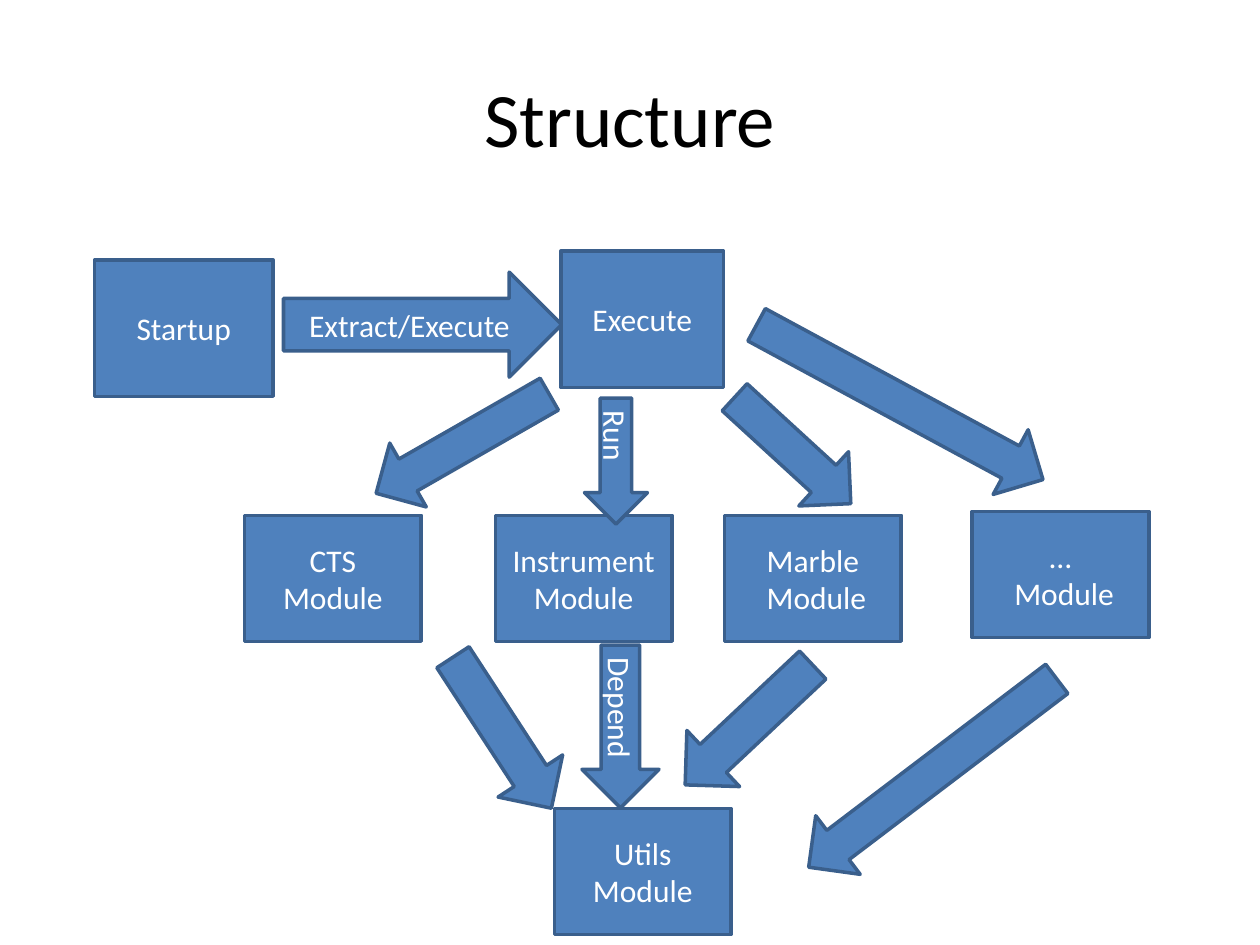
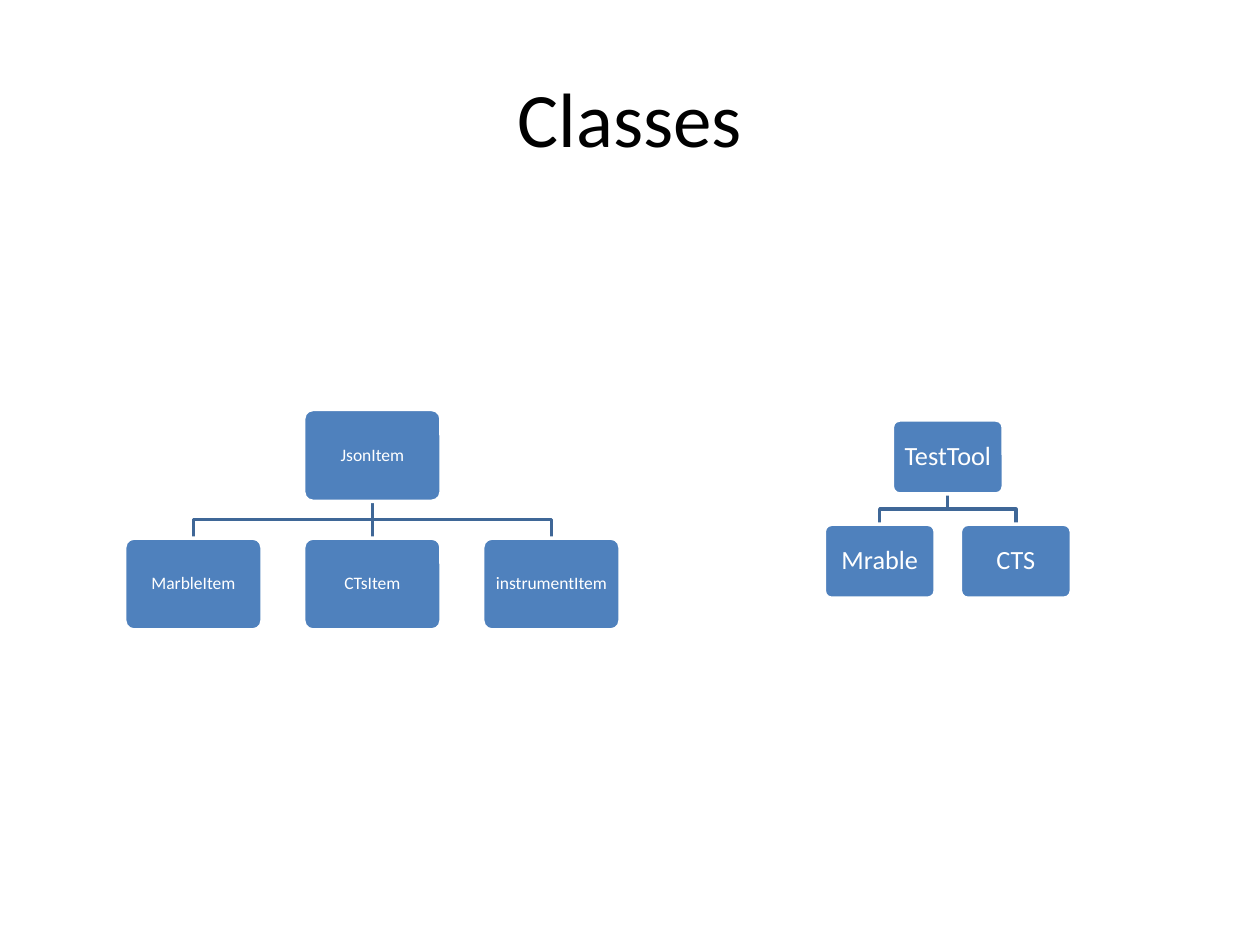
import pptx
import pptx.dml.color
import pptx.enum.shapes
import pptx.enum.text
import pptx.oxml
import pptx.util

Pt = pptx.util.Pt
RGBColor = pptx.dml.color.RGBColor
SHAPE = pptx.enum.shapes.MSO_SHAPE
CENTER = pptx.enum.text.PP_ALIGN.CENTER
MIDDLE = pptx.enum.text.MSO_ANCHOR.MIDDLE

FONT = "Calibri"
COLORS = {
    "title": "000000",
    "block": "4F81BD",
    "outline": "3A5F8C",
    "branch": "3F6797",
    "white": "FFFFFF",
}
LINE_WIDTH = 2


def set_text(shape, text, size, color):
    """Write centred, vertically centred text, one paragraph per line."""
    frame = shape.text_frame
    frame.text = text
    frame.word_wrap = True
    frame.vertical_anchor = MIDDLE
    for paragraph in frame.paragraphs:
        paragraph.alignment = CENTER
        for run in paragraph.runs:
            run.font.name = FONT
            run.font.size = Pt(size)
            run.font.color.rgb = RGBColor.from_string(COLORS[color])


def add_block(slide, kind, bounds, text, size, outline):
    shape = slide.shapes.add_shape(kind, *[Pt(length) for length in bounds])
    shape.shadow.inherit = False
    shape.fill.solid()
    shape.fill.fore_color.rgb = RGBColor.from_string(COLORS["block"])
    shape.line.color.rgb = RGBColor.from_string(COLORS[outline])
    shape.line.width = Pt(LINE_WIDTH)
    if text:
        set_text(shape, text, size, "white")
    return shape


presentation = pptx.Presentation()
presentation.slide_width = Pt(720)
presentation.slide_height = Pt(540)

slides = []
for title_text in ("Structure", "Classes"):
    slide = presentation.slides.add_slide(presentation.slide_layouts[5])
    title = slide.shapes.title
    title.left, title.top, title.width, title.height = Pt(36), Pt(21.6), Pt(648), Pt(90)
    set_text(title, title_text, 44, "title")
    slides.append(slide)
structure_slide, classes_slide = slides

# Structure: modules
STAGE_HEIGHT = 78
MODULE_WIDTH, MODULE_HEIGHT = 101, 72
MODULE_TOP = 294.5

modules = [
    ("Startup", 54, 148.5, 102, STAGE_HEIGHT),
    ("Execute", 320.5, 143.5, 93, STAGE_HEIGHT),
    ("CTS Module", 139.7, MODULE_TOP, MODULE_WIDTH, MODULE_HEIGHT),
    ("Instrument Module", 283, MODULE_TOP, MODULE_WIDTH, MODULE_HEIGHT),
    ("Marble\n Module", 414, MODULE_TOP, MODULE_WIDTH, MODULE_HEIGHT),
    ("…\n Module", 555.5, 292.3, MODULE_WIDTH, MODULE_HEIGHT),
    ("Utils\nModule", 316.8, 462, MODULE_WIDTH, MODULE_HEIGHT),
]
for name, *bounds in modules:
    add_block(structure_slide, SHAPE.RECTANGLE, bounds, name, 18, "outline")

# Structure: arrows
add_block(structure_slide, SHAPE.RIGHT_ARROW, (162, 155.5, 159, 60),
          "Extract/Execute", 18, "outline")

down_arrows = [
    ("Run", 334, 227.5, 36, 72, 0),
    ("", 243.4, 196.6, 42, 114, 60.2),
    ("", 432, 212.4, 42, 90, 312.5),
    ("", 493.2, 136.8, 42, 186, 298.4),
    ("Depend", 332.6, 368.6, 44, 93, 0),
    ("", 265, 367.2, 44, 103, 326.9),
    ("", 406, 364.3, 44, 100, 46.8),
    ("", 512, 352.8, 42, 178, 52.8),
]
for label, left, top, width, height, rotation in down_arrows:
    arrow = add_block(structure_slide, SHAPE.DOWN_ARROW, (left, top, width, height),
                      label, 18, "outline")
    arrow.rotation = rotation
    if label:
        arrow.text_frame._txBody.bodyPr.set("vert", "eaVert")

# Classes: inheritance trees
trees = [
    {"parent": "JsonItem", "children": ["MarbleItem", "CTsItem", "instrumentItem"],
     "center": 212.8, "top": 234, "width": 78.5, "height": 52.5,
     "pitch": 102.3, "gap": 21, "size": 10, "inset": 3},
    {"parent": "TestTool", "children": ["Mrable", "CTS"],
     "center": 541.6, "top": 240, "width": 63.4, "height": 42.3,
     "pitch": 77.8, "gap": 17.3, "size": 15, "inset": 4.5},
]
for tree in trees:
    center, width, height = tree["center"], tree["width"], tree["height"]
    parent_bottom = tree["top"] + height
    child_top = parent_bottom + tree["gap"]
    middle = parent_bottom + tree["gap"] / 2
    count = len(tree["children"])
    child_centers = [center + (i - (count - 1) / 2) * tree["pitch"] for i in range(count)]

    for child_center in child_centers:
        if child_center == center:
            branch = classes_slide.shapes.add_connector(
                pptx.enum.shapes.MSO_CONNECTOR.STRAIGHT,
                Pt(center), Pt(parent_bottom), Pt(center), Pt(child_top))
            branch._element.spPr.append(pptx.oxml.parse_xml(
                '<a:effectLst xmlns:a="http://schemas.openxmlformats.org/drawingml/2006/main"/>'))
        else:
            builder = classes_slide.shapes.build_freeform(Pt(center), Pt(parent_bottom))
            corners = [(center, middle), (child_center, middle), (child_center, child_top)]
            builder.add_line_segments([(Pt(x), Pt(y)) for x, y in corners], close=False)
            branch = builder.convert_to_shape()
            branch.shadow.inherit = False
            branch.fill.background()
        branch.line.color.rgb = RGBColor.from_string(COLORS["branch"])
        branch.line.width = Pt(LINE_WIDTH)

    nodes = [(tree["parent"], center, tree["top"])]
    nodes += [(name, x, child_top) for name, x in zip(tree["children"], child_centers)]
    for name, node_center, top in nodes:
        node = add_block(classes_slide, SHAPE.ROUNDED_RECTANGLE,
                         (node_center - width / 2, top, width, height),
                         name, tree["size"], "white")
        node.adjustments[0] = 0.1
        frame = node.text_frame
        frame.margin_left = frame.margin_right = Pt(tree["inset"])
        frame.margin_top = frame.margin_bottom = Pt(tree["inset"])
        frame.paragraphs[0].line_spacing = 0.9

presentation.save("out.pptx")
